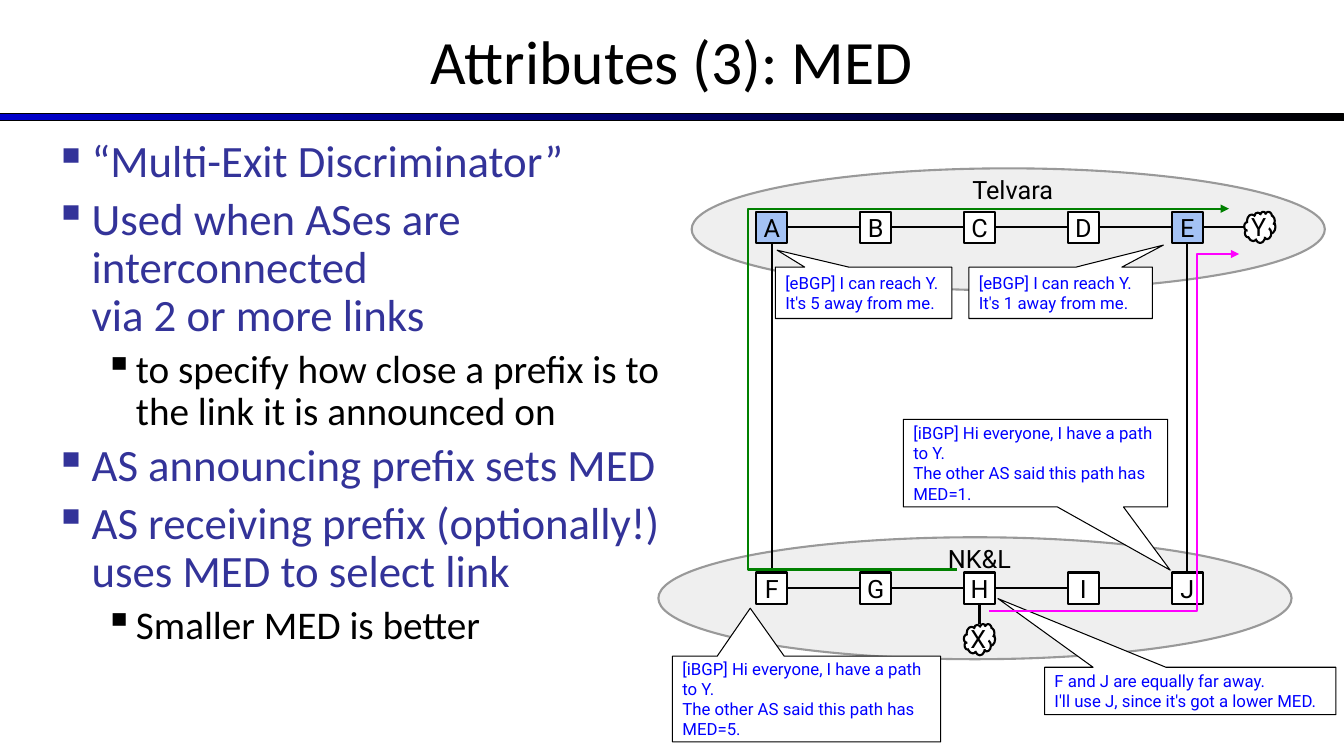
from dataclasses import dataclass

from lxml import etree
from pptx import Presentation
from pptx.dml.color import RGBColor
from pptx.enum.shapes import MSO_CONNECTOR, MSO_SHAPE
from pptx.enum.text import MSO_ANCHOR, PP_ALIGN
from pptx.oxml.ns import qn
from pptx.util import Inches, Pt

RECT, OVAL, CLOUD = MSO_SHAPE.RECTANGLE, MSO_SHAPE.OVAL, MSO_SHAPE.CLOUD
NOTE = MSO_SHAPE.ROUNDED_RECTANGULAR_CALLOUT
LINE = MSO_CONNECTOR.STRAIGHT
MIDDLE, TOP = MSO_ANCHOR.MIDDLE, MSO_ANCHOR.TOP
CENTER, LEFT = PP_ALIGN.CENTER, PP_ALIGN.LEFT
UP_SIDE, LEFT_SIDE, LOW_SIDE, RIGHT_SIDE = range(4)

COLORS = {
    "black": "000000", "white": "FFFFFF", "navy": "0000CC", "indigo": "333399",
    "blue": "0000FF", "sky": "A4C2F4", "pale": "EFEFEF", "gray": "999999",
    "green": "008000", "pink": "FF00FF",
}
NODE = 0.31
FIRST, PITCH = 7.5, 1.03
UPPER, LOWER = 2.1, 5.68


@dataclass
class Domain:
    name: str
    left: float
    top: float
    label: float


@dataclass
class Point:
    text: str
    level: int = 0


@dataclass
class Level:
    size: int
    color: str
    margin: float
    hang: float


@dataclass
class Callout:
    box: tuple[float, float, float, float]
    tip: tuple[float, float]
    lines: list[str]


@dataclass
class Route:
    color: str
    points: list[tuple[float, float]]


DOMAINS = [Domain("Telvara", 6.86, 1.67, 1.7), Domain("NK&L", 6.53, 5.33, 5.36)]
LEVELS = [Level(32, "indigo", 0.37, 0.37), Level(28, "black", 0.81, 0.31)]
POINTS = [
    Point("“Multi-Exit Discriminator”"),
    Point("Used when ASes are interconnected\nvia 2 or more links"),
    Point("to specify how close a prefix is to the link it is announced on", 1),
    Point("AS announcing prefix sets MED"),
    Point("AS receiving prefix (optionally!) uses MED to select link"),
    Point("Smaller MED is better", 1),
]
PATH = "[iBGP] Hi everyone, I have a path to Y."
CHOICE = Callout((10.36, 6.62, 2.89, 0.47), (-0.66, -1.95),
                 ["F and J are equally far away.",
                  "I'll use J, since it's got a lower MED."])
ADVERTS = [
    Callout((7.69, 2.65, 1.75, 0.51), (-0.49, -0.83),
            ["[eBGP] I can reach Y. It's 5 away from me."]),
    Callout((9.61, 2.65, 1.82, 0.51), (0.56, -0.93),
            ["[eBGP] I can reach Y. It's 1 away from me."]),
    Callout((6.67, 6.51, 2.66, 0.85), (-0.21, -1.06),
            [PATH, "The other AS said this path has MED=5."]),
    Callout((8.96, 4.16, 2.62, 0.87), (0.51, 1.22),
            [PATH, "The other AS said this path has MED=1."]),
]
ROUTES = [
    Route("pink", [(9.81, 6.06), (11.87, 6.06), (11.87, 2.52), (12.29, 2.52)]),
    Route("green", [(9.49, 5.65), (7.42, 5.65), (7.42, 2.07), (12.19, 2.07)]),
]


def rgb(name: str) -> RGBColor:
    return RGBColor.from_string(COLORS[name])


def style(par, size: int, color: str, face: str = "Roboto", align=LEFT) -> None:
    par.alignment = align
    par.font.size, par.font.name = Pt(size), face
    par.font.color.rgb = rgb(color)


def frame(shape, inset: float, anchor):
    """Set wrapping, margins and anchor; return the text frame."""
    text = shape.text_frame
    text.word_wrap, text.vertical_anchor = True, anchor
    text.margin_left = text.margin_right = Inches(inset)
    text.margin_top = text.margin_bottom = Inches(inset)
    return text


def outline(shape, color: str, width: float) -> None:
    shape.line.color.rgb, shape.line.width = rgb(color), Pt(width)


def draw(slide, kind, box, fill: str, edge: str = "black", width: float = 1.5):
    shape = slide.shapes.add_shape(kind, *map(Inches, box))
    shape.shadow.inherit = False
    shape.fill.solid()
    shape.fill.fore_color.rgb = rgb(fill)
    outline(shape, edge, width)
    return shape


def add_node(slide, name: str, left: float, top: float, kind=RECT):
    fill = "sky" if name in "AE" else "white"
    node = draw(slide, kind, (left, top, NODE, NODE), fill)
    par = frame(node, 0, MIDDLE).paragraphs[0]
    par.text = name
    style(par, 18, "black", align=CENTER)
    return node


def add_wire(slide, start, side: int, stop, end: int | None = None) -> None:
    """Join two nodes; without an end side, meet the cloud's box edge."""
    x, y = stop.left, stop.top
    if side == LOW_SIDE:
        x += stop.width // 2
    else:
        y += stop.height // 2
    wire = slide.shapes.add_connector(LINE, 0, 0, x, y)
    wire.begin_connect(start, side)
    if end is not None:
        wire.end_connect(stop, end)
    outline(wire, "black", 1.5)
    etree.SubElement(wire._element.spPr, qn("a:effectLst"))


def add_route(slide, route: Route) -> None:
    spots = [(Inches(x), Inches(y)) for x, y in route.points]
    pen = slide.shapes.build_freeform(*spots[0])
    pen.add_line_segments(spots[1:], close=False)
    shape = pen.convert_to_shape()
    shape.shadow.inherit = False
    shape.fill.background()
    outline(shape, route.color, 1.5)
    etree.SubElement(shape.line._get_or_add_ln(), qn("a:tailEnd"), type="triangle")


def add_note(slide, note: Callout) -> None:
    shape = draw(slide, NOTE, note.box, "white", width=0.75)
    for i, value in enumerate((*note.tip, 0)):
        shape.adjustments[i] = value
    text = frame(shape, 0.1, MIDDLE)
    text.text = "\n".join(note.lines)
    for par in text.paragraphs:
        style(par, 12, "blue")


def add_label(slide, domain: Domain) -> None:
    box = slide.shapes.add_textbox(*map(Inches, (domain.left, domain.label, 6.37, 0.3)))
    par = frame(box, 0.03, TOP).paragraphs[0]
    par.text = domain.name
    style(par, 18, "black", align=CENTER)


def add_head(slide) -> None:
    bar = draw(slide, RECT, (0, 1.13, 13.33, 0.07), "navy", width=0.75)
    bar.fill.gradient()
    bar.fill.gradient_angle = 0
    for stop, name in zip(bar.fill.gradient_stops, ("navy", "black")):
        stop.color.rgb = rgb(name)
    title = slide.shapes.title
    title.left, title.top, title.width, title.height = map(Inches, (0, -0.03, 13.33, 1.25))
    par = frame(title, 0.05, MIDDLE).paragraphs[0]
    par.text = "Attributes (3): MED"
    style(par, 44, "black", "Calibri", CENTER)


def add_points(slide) -> None:
    box = slide.shapes.add_textbox(*map(Inches, (0.44, 1.33, 6.25, 5.81)))
    text = frame(box, 0.05, TOP)
    text.margin_left = text.margin_right = Inches(0.1)
    for i, point in enumerate(POINTS):
        par = text.add_paragraph() if i else text.paragraphs[0]
        level = LEVELS[point.level]
        par.text, par.level = point.text, point.level
        par.line_spacing, par.space_before = 0.9, Pt(level.size * 0.2)
        props = par._p.get_or_add_pPr()
        props.set("marL", str(Inches(level.margin)))
        props.set("indent", str(-Inches(level.hang)))
        tint = etree.SubElement(props, qn("a:buClr"))
        etree.SubElement(tint, qn("a:srgbClr"), val=COLORS[level.color])
        etree.SubElement(props, qn("a:buChar"), char="▪")
        style(par, level.size, level.color, "Calibri")


def add_network(slide) -> None:
    for domain in DOMAINS:
        draw(slide, OVAL, (domain.left, domain.top, 6.28, 1.21), "pale", "gray")
    rows = [[add_node(slide, name, FIRST + i * PITCH, top) for i, name in enumerate(names)]
            for names, top in (("ABCDE", UPPER), ("FGHIJ", LOWER))]
    for row in rows:
        for start, stop in zip(row, row[1:]):
            add_wire(slide, start, RIGHT_SIDE, stop, LEFT_SIDE)
    high, low = rows
    for i in (0, -1):
        add_wire(slide, high[i], LOW_SIDE, low[i], UP_SIDE)
    add_wire(slide, low[2], LOW_SIDE, add_node(slide, "X", FIRST + 2 * PITCH, 6.19, CLOUD))
    add_wire(slide, high[-1], RIGHT_SIDE, add_node(slide, "Y", 12.34, UPPER, CLOUD))
    for domain in DOMAINS:
        add_label(slide, domain)


def main() -> None:
    deck = Presentation()
    deck.slide_width, deck.slide_height = Inches(13.33), Inches(7.5)
    slide = deck.slides.add_slide(deck.slide_layouts[5])
    add_head(slide)
    add_points(slide)
    add_network(slide)
    add_note(slide, CHOICE)
    for route in ROUTES:
        add_route(slide, route)
    for note in ADVERTS:
        add_note(slide, note)
    deck.save("out.pptx")


if __name__ == "__main__":
    main()
